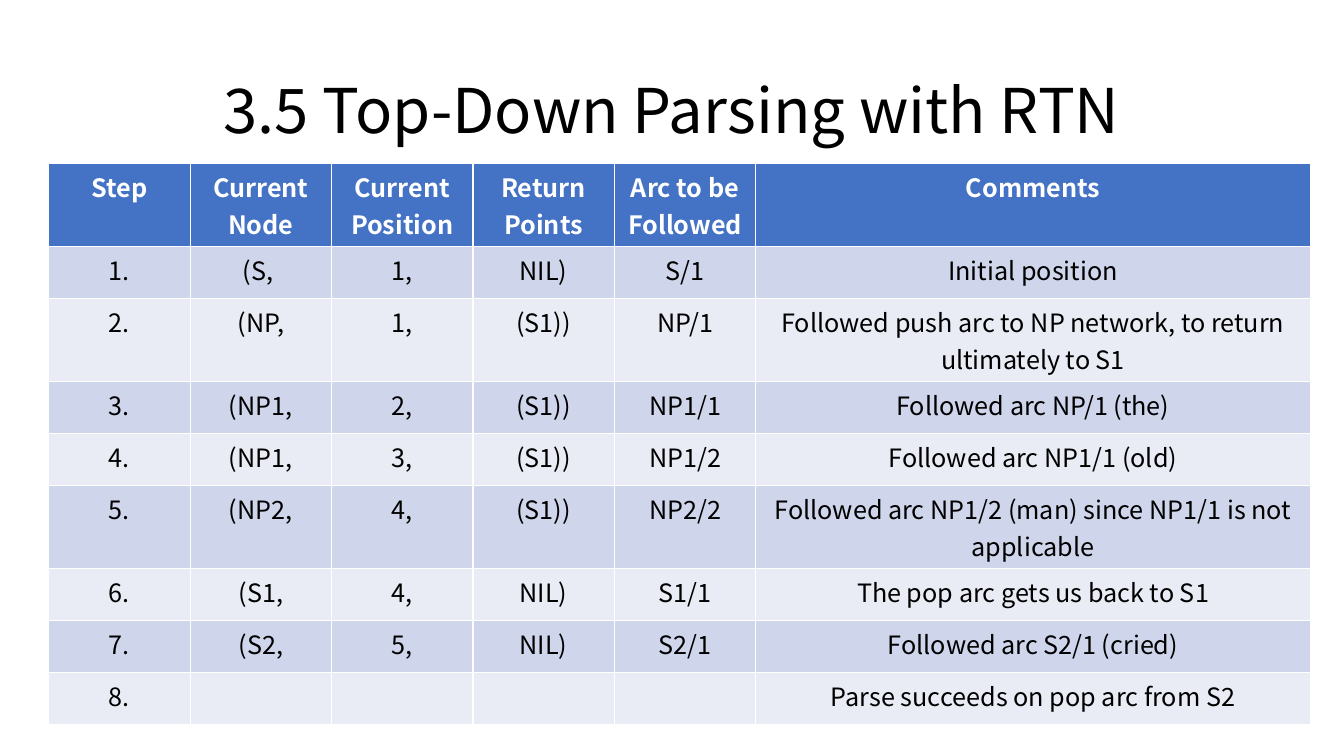
from pptx import Presentation
from pptx.dml.color import RGBColor
from pptx.enum.text import MSO_ANCHOR, PP_ALIGN
from pptx.util import Pt

FONT = "Noto Sans CJK KR"
COLORS = {
    "text": "000000",
    "header_text": "FFFFFF",
    "header": "4472C4",
    "odd": "CFD5EA",
    "even": "E9EBF5",
}
STEPS = [
    ("Step", "Current Node", "Current Position", "Return Points", "Arc to be Followed", "Comments"),
    ("1.", "(S, ", "1,", "NIL)", "S/1", "Initial position"),
    ("2.", "(NP,", "1,", "(S1))", "NP/1",
     "Followed push arc to NP network, to return ultimately to S1"),
    ("3.", "(NP1,", "2,", "(S1))", "NP1/1", "Followed arc NP/1 (the)"),
    ("4.", "(NP1,", "3,", "(S1))", "NP1/2", "Followed arc NP1/1 (old)"),
    ("5.", "(NP2,", "4,", "(S1))", "NP2/2",
     "Followed arc NP1/2 (man) since NP1/1 is not applicable"),
    ("6.", "(S1,", "4,", "NIL)", "S1/1", "The pop arc gets us back to S1"),
    ("7.", "(S2,", "5,", "NIL)", "S2/1", "Followed arc S2/1 (cried)"),
    ("8.", "", "", "", "", "Parse succeeds on pop arc from S2"),
]


def color(name):
    return RGBColor.from_string(COLORS[name])


def format_paragraph(p, size, color_name, bold=False):
    p.alignment = PP_ALIGN.CENTER
    p.font.name = FONT
    p.font.size = Pt(size)
    p.font.bold = bold
    p.font.color.rgb = color(color_name)


def add_title(s, text, x, y, w, h):
    sp = s.shapes.title
    sp.left, sp.top, sp.width, sp.height = Pt(x), Pt(y), Pt(w), Pt(h)
    tf = sp.text_frame
    tf.text = text
    tf.word_wrap = True
    tf.vertical_anchor = MSO_ANCHOR.MIDDLE
    p = tf.paragraphs[0]
    p.line_spacing = 0.9
    format_paragraph(p, 44, "text")


def add_parse_table(s, rows, x, y, w, h, narrow=101.8):
    count = len(rows[0])
    table = s.shapes.add_table(len(rows), count, Pt(x), Pt(y), Pt(w), Pt(h)).table
    for column in table.columns:
        column.width = Pt(narrow)
    table.columns[count - 1].width = Pt(w - narrow * (count - 1))
    for i, row in enumerate(rows):
        table.rows[i].height = Pt(h / len(rows))
        fill = "header" if i == 0 else "odd" if i % 2 else "even"
        for j, text in enumerate(row):
            cell = table.cell(i, j)
            cell.fill.solid()
            cell.fill.fore_color.rgb = color(fill)
            cell.text = text
            format_paragraph(cell.text_frame.paragraphs[0], 18,
                             "text" if i else "header_text", i == 0)


prs = Presentation()
prs.slide_width, prs.slide_height = Pt(960), Pt(540)
s = prs.slides.add_slide(prs.slide_layouts[5])
add_title(s, "3.5 Top-Down Parsing with RTN", 66, 28.8, 828, 104.4)
add_parse_table(s, STEPS, 34.8, 116.8, 901.2, 333.9, 101)
prs.save("out.pptx")
